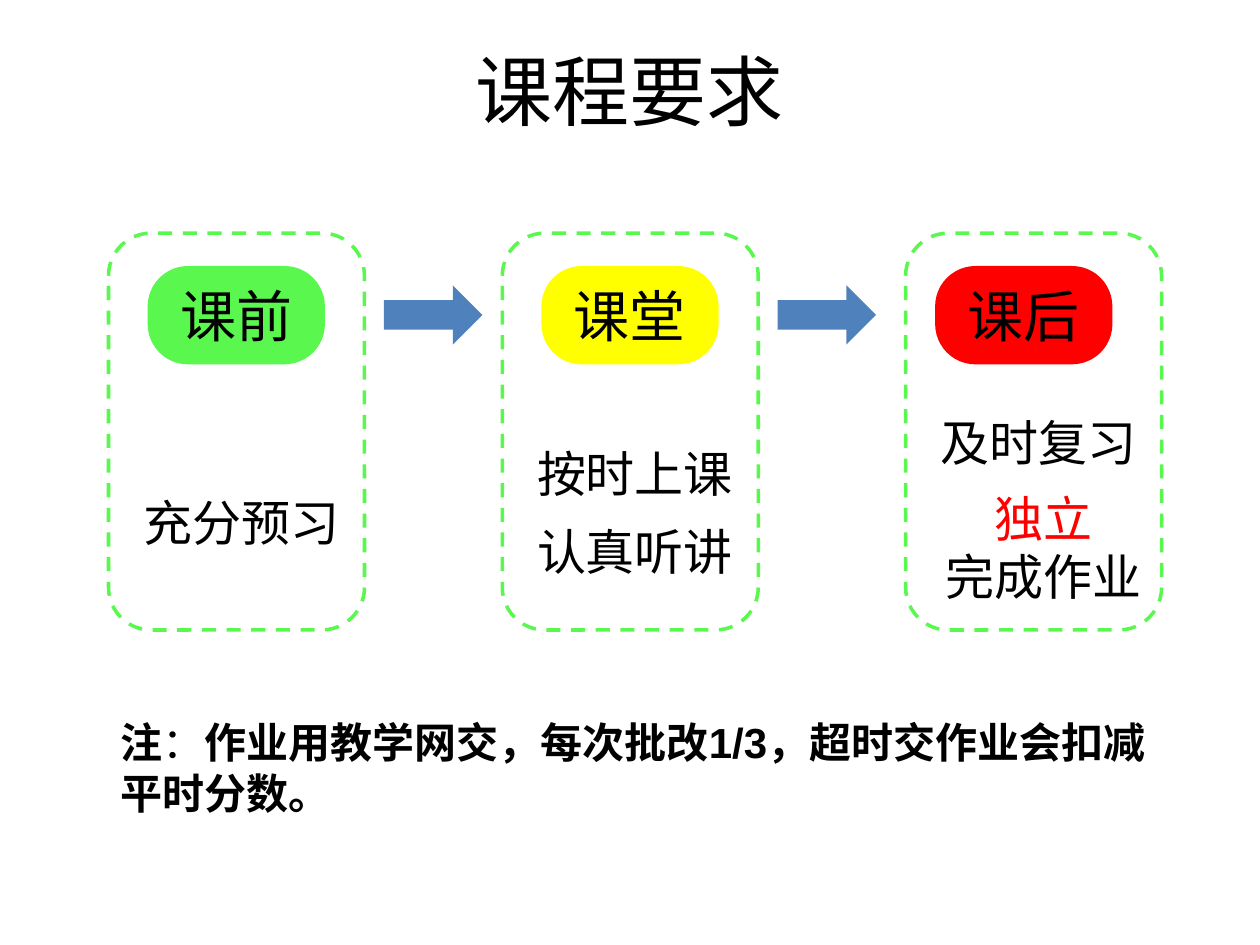
"""Builds the course requirements slide."""
from lxml import etree
from pptx import Presentation
from pptx.dml.color import RGBColor
from pptx.enum import dml, shapes, text
from pptx.oxml import ns
from pptx.util import Pt

COLORS = {"ink": "000000", "green": "5AF84E", "yellow": "FFFF00",
          "red": "FF0000", "blue": "4F81BD"}
TITLE_FONT, BODY_FONT, NOTE_FONT = "Noto Sans CJK JP", "Noto Sans CJK SC", "Arial"


def color(name):
    """Return the named colour."""
    return RGBColor.from_string(COLORS[name])


class Page:
    """Holds the style and the current slide."""

    def __init__(self, deck):
        """Add a title-only slide."""
        self.slide = deck.slides.add_slide(deck.slide_layouts[5])

    def set_text(self, box, paragraphs, font, size, align=text.PP_ALIGN.CENTER,
                 anchor=text.MSO_ANCHOR.MIDDLE):
        """Fill a box with paragraphs of (text, colour, bold) spans."""
        frame = box.text_frame
        for key, value in {"word_wrap": True, "vertical_anchor": anchor,
                           "auto_size": text.MSO_AUTO_SIZE.NONE}.items():
            setattr(frame, key, value)
        for index, spans in enumerate(paragraphs):
            para = frame.add_paragraph() if index else frame.paragraphs[0]
            para.alignment = align
            for words, ink, bold in spans:
                span = para.add_run()
                span.text = words
                for key, value in {"name": font, "size": Pt(size), "bold": bold}.items():
                    setattr(span.font, key, value)
                span.font.color.rgb = color(ink)
                east = etree.SubElement(span.font._element, ns.qn("a:ea"))
                east.set("typeface", BODY_FONT if font == NOTE_FONT else font)

    def title(self, words, area):
        """Place the title."""
        box = self.slide.shapes.title
        box.left, box.top, box.width, box.height = map(Pt, area)
        self.set_text(box, [[(words, "ink", False)]], TITLE_FONT, 44)

    def label(self, area, paragraphs, font=BODY_FONT, size=28, **layout):
        """Add a text box."""
        box = self.slide.shapes.add_textbox(*map(Pt, area))
        self.set_text(box, paragraphs, font, size, **layout)

    def shape(self, kind, area, fill=None, line=None, corner=None):
        """Add a filled shape or a dashed outline."""
        box = self.slide.shapes.add_shape(kind, *map(Pt, area))
        box.shadow.inherit = False
        if corner:
            box.adjustments[0] = corner
        if fill:
            box.fill.solid()
            box.fill.fore_color.rgb = color(fill)
        else:
            box.fill.background()
        if line:
            box.line.color.rgb = color(line)
            box.line.width = Pt(2)
            box.line.dash_style = dml.MSO_LINE.DASH
        else:
            box.line.fill.background()
        return box


def main():
    """Build and save the deck."""
    deck = Presentation()
    deck.slide_width, deck.slide_height = Pt(720), Pt(540)
    page = Page(deck)
    page.title("课程要求", (36, 6, 648, 90))

    rounded = shapes.MSO_SHAPE.ROUNDED_RECTANGLE
    step = 225
    stages = [("课前", "green", 62), ("课堂", "yellow", 287), ("课后", "red", 517.5)]
    for index, (name, fill, frame_left) in enumerate(stages):
        pill = page.shape(rounded, (84.4 + index * step, 152, 101.3, 56.2),
                          fill=fill, corner=0.41)
        page.set_text(pill, [[(name, "ink", False)]], TITLE_FONT, 32)
        page.shape(rounded, (frame_left, 133.2, 146.3, 226.8), line="green")
        if index:
            page.shape(shapes.MSO_SHAPE.RIGHT_ARROW,
                       (219.4 + (index - 1) * step, 163.1, 56.2, 33.8), fill="blue")

    tasks = [((67.7, 270, 140.4, 56.2), ["充分预习"]),
             ((298, 242, 129.6, 56.2), ["按时上课"]),
             ((298, 286.6, 129.6, 56.2), ["认真听讲"]),
             ((528.5, 224.6, 129.6, 56.2), ["及时复习"]),
             ((523.4, 281.5, 146.2, 62), ["独立", "完成作业"])]
    for area, lines in tasks:
        page.label(area, [[(line, "red" if line == "独立" else "ink", False)]
                          for line in lines])

    note = [("注", "ink", True), ("\uff1a", "ink", False),
            ("作业用教学网交\uff0c每次批改1/3\uff0c超时交作业会扣减平时分数。", "ink", True)]
    page.label((62, 406, 613.4, 94.3), [note], NOTE_FONT, 24,
               align=text.PP_ALIGN.LEFT, anchor=text.MSO_ANCHOR.TOP)
    deck.save("out.pptx")


main()
